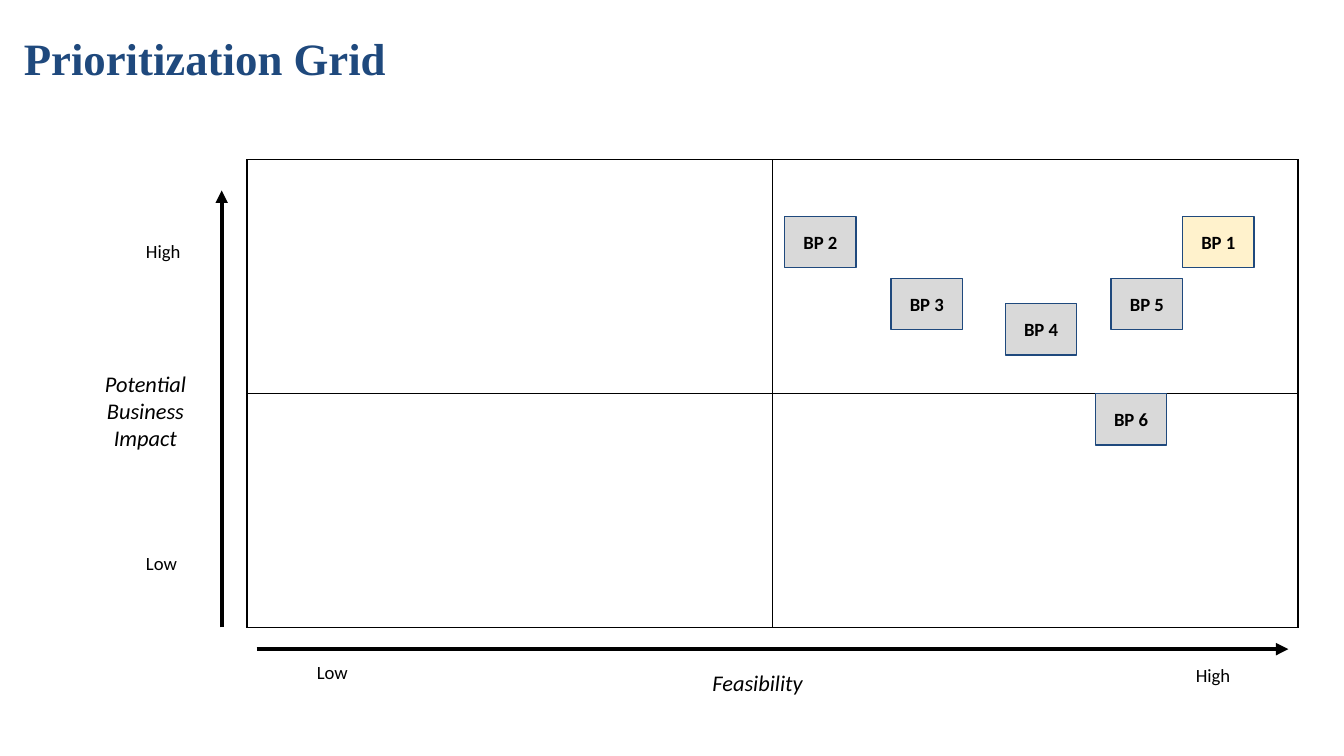
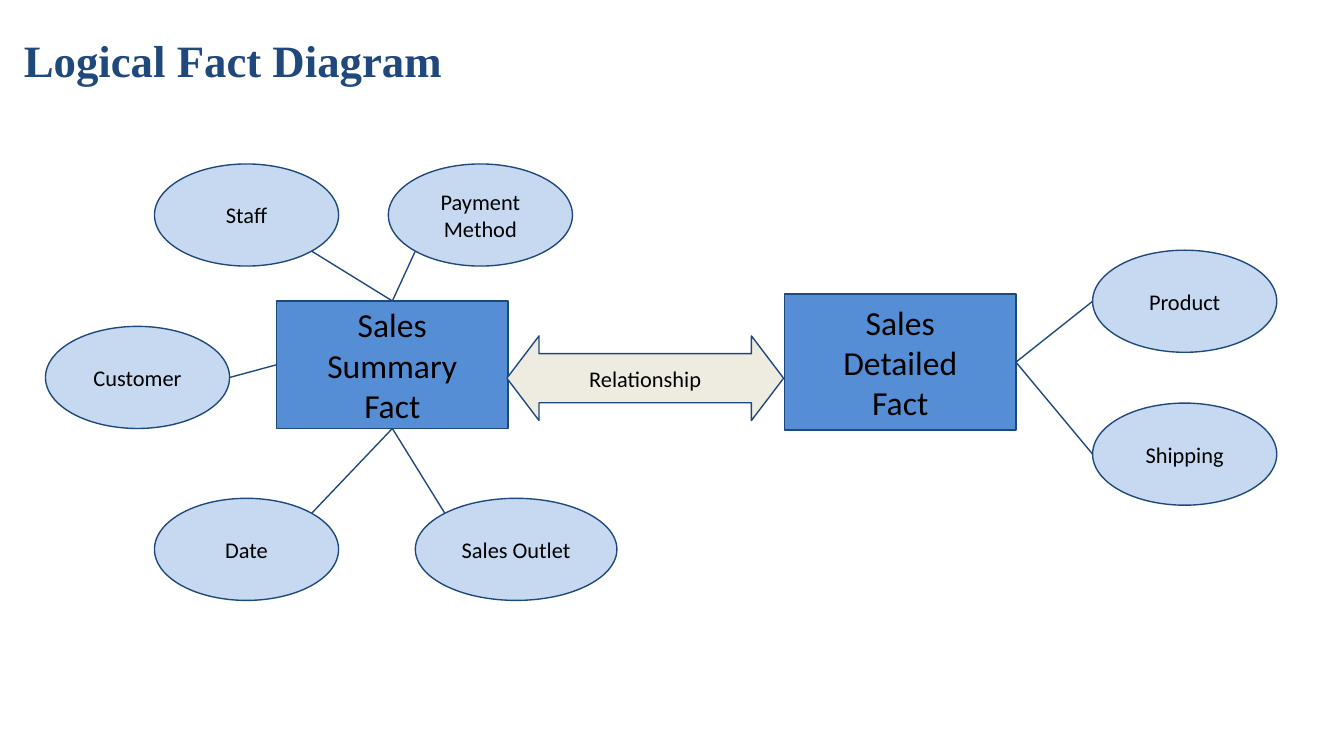
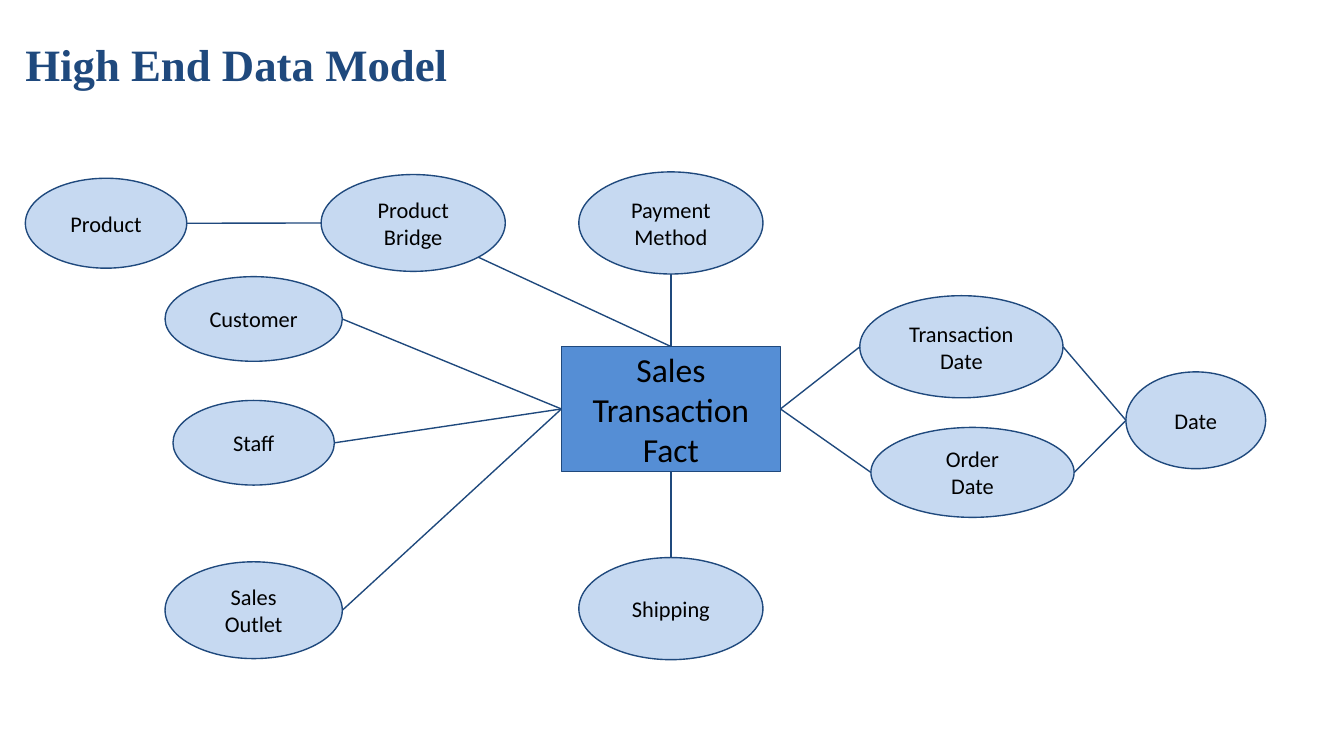
from collections import namedtuple
from math import hypot

from pptx import Presentation
from pptx.dml.color import RGBColor
from pptx.enum.shapes import MSO_CONNECTOR, MSO_SHAPE
from pptx.enum.text import MSO_ANCHOR, MSO_AUTO_SIZE, PP_ALIGN
from pptx.oxml.ns import qn
from pptx.util import Cm, Pt
from lxml.etree import SubElement

COLORS = {
    "navy": "1F497D",
    "fact": "558ED5",
    "dimension": "C6D9F1",
    "relation": "EEECE1",
    "selected": "FFF2CC",
    "process": "D9D9D9",
    "black": "000000",
}
HEADING_FONT = "Times New Roman"
BODY_FONT = "Calibri"
INSET = 0.25
THIN, THICK = 0.75, 2.25

Box = namedtuple("Box", "left top width height")
COMPASS = {
    "N": (0, -1), "NE": (1, -1), "E": (1, 0), "SE": (1, 1),
    "S": (0, 1), "SW": (-1, 1), "W": (-1, 0), "NW": (-1, -1),
}
RECTANGLE_SIDES = "NWSE"  # in the order of connection sites 0 to 3


def rgb(name):
    return RGBColor.from_string(COLORS[name])


def within(region, left, top, width, height):
    """Turn an offset inside a region into a box on the slide."""
    return Box(region.left + left, region.top + top, width, height)


def lengths(box):
    return [Cm(value) for value in box]


def write(frame, text, size, color="black", font=BODY_FONT, align=PP_ALIGN.CENTER,
          anchor=MSO_ANCHOR.MIDDLE, bold=False, italic=False, spacing=None):
    """Fill a text frame with one paragraph for each line of the text."""
    frame.word_wrap = True
    frame.vertical_anchor = anchor
    frame.margin_left = frame.margin_right = Cm(INSET)
    frame.margin_top = frame.margin_bottom = Cm(INSET)
    for index, line in enumerate(text.split("\n")):
        paragraph = frame.add_paragraph() if index else frame.paragraphs[0]
        paragraph.alignment = align
        paragraph.line_spacing = spacing
        run = paragraph.add_run()
        run.text = line
        run.font.name, run.font.size = font, Pt(size)
        run.font.bold, run.font.italic = bold, italic
        run.font.color.rgb = rgb(color)


def add_titled_slide(deck, text, box, spacing=None):
    slide = deck.slides.add_slide(deck.slide_layouts[5])
    title = slide.shapes.title
    title.left, title.top, title.width, title.height = lengths(box)
    title.text_frame.auto_size = MSO_AUTO_SIZE.NONE
    write(title.text_frame, text, 24, "navy", HEADING_FONT, PP_ALIGN.LEFT,
          bold=True, spacing=spacing)
    return slide


def add_node(slide, kind, box, text, fill, size, bold=False):
    node = slide.shapes.add_shape(kind, *lengths(box))
    node.shadow.inherit = False
    node.fill.solid()
    node.fill.fore_color.rgb = rgb(fill)
    node.line.color.rgb = rgb("navy")
    node.line.width = Pt(THIN)
    write(node.text_frame, text, size, bold=bold)
    return node


def add_line(slide, start, end, color, width):
    line = slide.shapes.add_connector(MSO_CONNECTOR.STRAIGHT, *start, *end)
    line.line.color.rgb = rgb(color)
    line.line.width = Pt(width)
    SubElement(line._element.spPr, qn("a:effectLst"))
    return line


def add_axis(slide, region, start, end):
    ends = [(Cm(region.left + x), Cm(region.top + y)) for x, y in (start, end)]
    axis = add_line(slide, *ends, "black", THICK)
    SubElement(axis.line._get_or_add_ln(), qn("a:tailEnd"), type="triangle")


def add_label(slide, box, text, size, **style):
    label = slide.shapes.add_textbox(*lengths(box))
    write(label.text_frame, text, size, anchor=MSO_ANCHOR.TOP, **style)
    label.text_frame.auto_size = MSO_AUTO_SIZE.SHAPE_TO_FIT_TEXT


def outline_cell(cell):
    properties = cell._tc.get_or_add_tcPr()
    for side in ("lnL", "lnR", "lnT", "lnB"):
        border = SubElement(properties, qn(f"a:{side}"), w=str(Pt(THIN)))
        paint = SubElement(border, qn("a:solidFill"))
        SubElement(paint, qn("a:srgbClr"), val=COLORS["black"])
    cell.fill.background()


def add_quadrants(slide, region):
    table = slide.shapes.add_table(2, 2, *lengths(region)).table
    table.first_row = table.horz_banding = False
    for cell in table.iter_cells():
        outline_cell(cell)


def add_prioritization_grid(slide, region):
    add_quadrants(slide, region)
    processes = [(17.68, 1.07), (10.16, 1.07), (12.17, 2.24),
                 (14.33, 2.72), (16.33, 2.24), (16.03, 4.42)]
    for number, (left, top) in enumerate(processes, 1):
        add_node(slide, MSO_SHAPE.RECTANGLE, within(region, left, top, 1.35, 0.97),
                 f"BP {number}", "selected" if number == 1 else "process", 10, bold=True)

    axis_names = [("Potential Business Impact", -3.1, 3.73, 2.36, 2.06),
                  ("Feasibility", 6.45, 9.37, 6.4, 1.02)]
    for name, *place in axis_names:
        add_label(slide, within(region, *place), name, 12, italic=True)
    axis_ends = [("High", -2.16, 1.3), ("High", 17.68, 9.32),
                 ("Low", -2.16, 7.19), ("Low", 1.07, 9.25)]
    for level, left, top in axis_ends:
        add_label(slide, within(region, left, top, 1.35, 0.94), level, 10,
                  align=PP_ALIGN.LEFT)

    add_axis(slide, region, (-0.48, region.height), (-0.48, 0.58))
    below = region.height + 0.41
    add_axis(slide, region, (0.18, below), (region.width - 0.18, below))


def rim_point(node, direction):
    """Point on an ellipse's rim, or the middle of a rectangle's side."""
    dx, dy = COMPASS[direction]
    reach = hypot(dx, dy)
    return (round(node.left + node.width / 2 * (1 + dx / reach)),
            round(node.top + node.height / 2 * (1 + dy / reach)))


def add_fact_model(slide, region, facts, dimensions, links):
    """Draw facts and dimensions, then the links between them by key.

    A link is (dimension, direction, target, direction).
    """
    fact_nodes = {
        key: add_node(slide, MSO_SHAPE.RECTANGLE, within(region, *place), text, "fact", 18)
        for key, (text, *place) in facts.items()}
    dimension_nodes = {
        key: add_node(slide, MSO_SHAPE.OVAL, within(region, *place), text, "dimension", 12)
        for key, (text, *place) in dimensions.items()}
    nodes = fact_nodes | dimension_nodes
    for source, leaving, target, entering in links:
        link = add_line(slide, rim_point(nodes[source], leaving),
                        rim_point(nodes[target], entering), "navy", THIN)
        if target in fact_nodes:
            link.end_connect(nodes[target], RECTANGLE_SIDES.index(entering))


def add_logical_facts(slide, region):
    size = (3.48, 1.93)
    facts = {
        "summary": ("Sales\nSummary\nFact", 4.37, 2.59, 4.37, 2.41),
        "detailed": ("Sales\nDetailed\nFact", 13.97, 2.46, 4.37, 2.57),
    }
    dimensions = {
        "customer": ("Customer", 0, 3.07, *size),
        "outlet": ("Sales Outlet", 6.99, 6.32, 3.81, 1.93),
        "staff": ("Staff", 2.06, 0, *size),
        "date": ("Date", 2.06, 6.32, *size),
        "product": ("Product", 19.79, 1.63, *size),
        "shipping": ("Shipping", 19.79, 4.52, *size),
        "payment": ("Payment\nMethod", 6.48, 0, *size),
    }
    links = [
        ("product", "W", "detailed", "E"),
        ("shipping", "W", "detailed", "E"),
        ("payment", "SW", "summary", "N"),
        ("staff", "SE", "summary", "N"),
        ("date", "NE", "summary", "S"),
        ("outlet", "NW", "summary", "S"),
        ("customer", "E", "summary", "W"),
    ]
    add_fact_model(slide, region, facts, dimensions, links)
    relationship = add_node(slide, MSO_SHAPE.LEFT_RIGHT_ARROW,
                            within(region, 8.72, 3.25, 5.23, 1.6),
                            "Relationship", "relation", 12)
    relationship.adjustments[0] = 0.58
    relationship.adjustments[1] = 0.38


def add_data_model(slide, region):
    facts = {"sales": ("Sales Transaction Fact", 10.13, 3.3, 4.14, 2.36)}
    dimensions = {
        "staff": ("Staff", 2.79, 4.32, 3.05, 1.6),
        "payment": ("Payment\nMethod", 10.46, 0, 3.48, 1.93),
        "shipping": ("Shipping", 10.46, 7.29, 3.48, 1.93),
        "outlet": ("Sales Outlet", 2.64, 7.37, 3.35, 1.83),
        "product": ("Product", 0, 0.12, 3.05, 1.7),
        "bridge": ("Product\nBridge", 5.59, 0.05, 3.48, 1.83),
        "customer": ("Customer", 2.64, 1.98, 3.35, 1.6),
        "transaction": ("Transaction\nDate", 15.77, 2.34, 3.84, 1.93),
        "order": ("Order\nDate", 15.98, 4.83, 3.84, 1.7),
        "date": ("Date", 20.8, 3.78, 2.64, 1.83),
    }
    links = [
        ("bridge", "W", "product", "E"),
        ("bridge", "SE", "sales", "N"),
        ("payment", "S", "sales", "N"),
        ("customer", "E", "sales", "W"),
        ("staff", "E", "sales", "W"),
        ("shipping", "N", "sales", "S"),
        ("outlet", "E", "sales", "W"),
        ("date", "W", "transaction", "E"),
        ("date", "W", "order", "E"),
        ("order", "W", "sales", "E"),
        ("transaction", "W", "sales", "E"),
    ]
    add_fact_model(slide, region, facts, dimensions, links)


def main():
    deck = Presentation()
    deck.slide_width, deck.slide_height = Cm(25.4), Cm(14.29)

    grid = add_titled_slide(deck, "Prioritization Grid", Box(0.2, 0.28, 23.67, 1.6))
    add_prioritization_grid(grid, Box(4.67, 3.02, 19.86, 8.84))

    logical = add_titled_slide(deck, "Logical Fact Diagram", Box(0.2, 0.25, 22.66, 1.6), 1.15)
    add_logical_facts(logical, Box(0.86, 3.1, 23.27, 8.25))

    model = add_titled_slide(deck, "High End Data Model", Box(0.23, 0.33, 22.66, 1.6), 1.15)
    add_data_model(model, Box(0.48, 3.25, 23.44, 9.22))

    deck.save("out.pptx")


if __name__ == "__main__":
    main()
